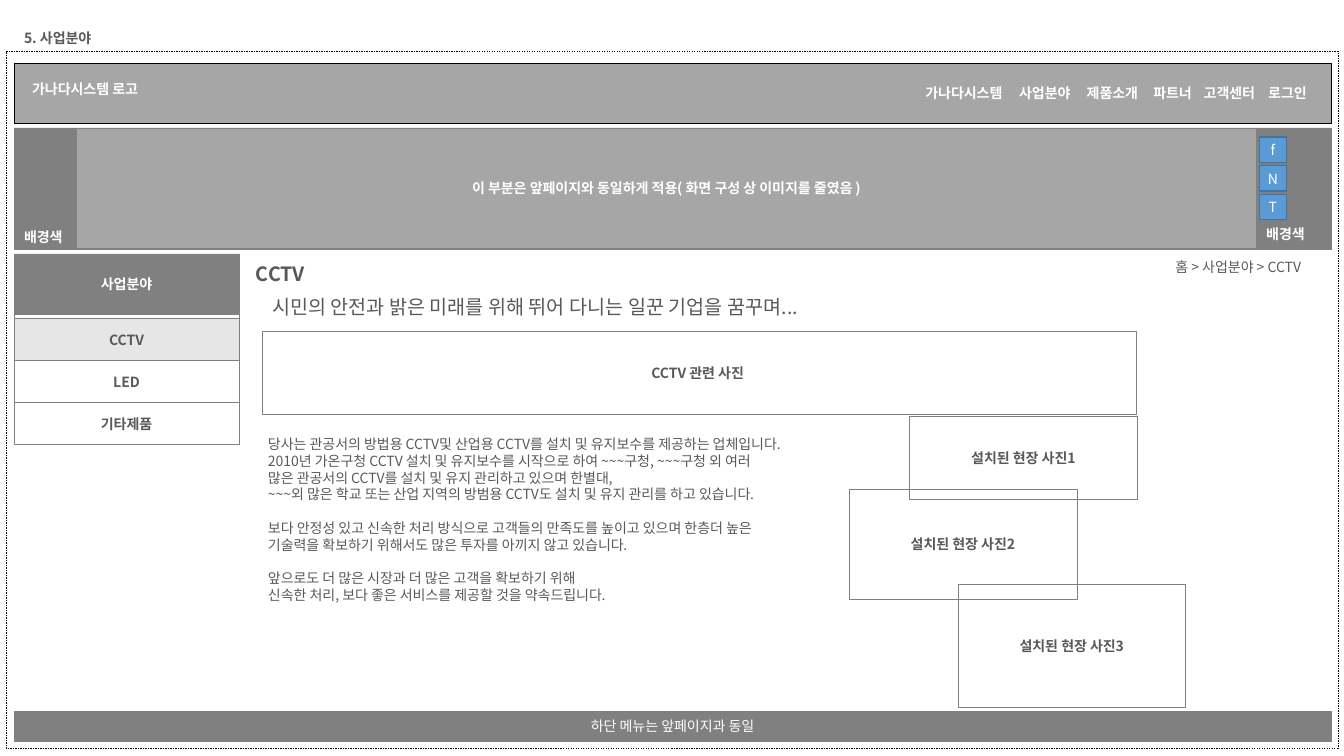
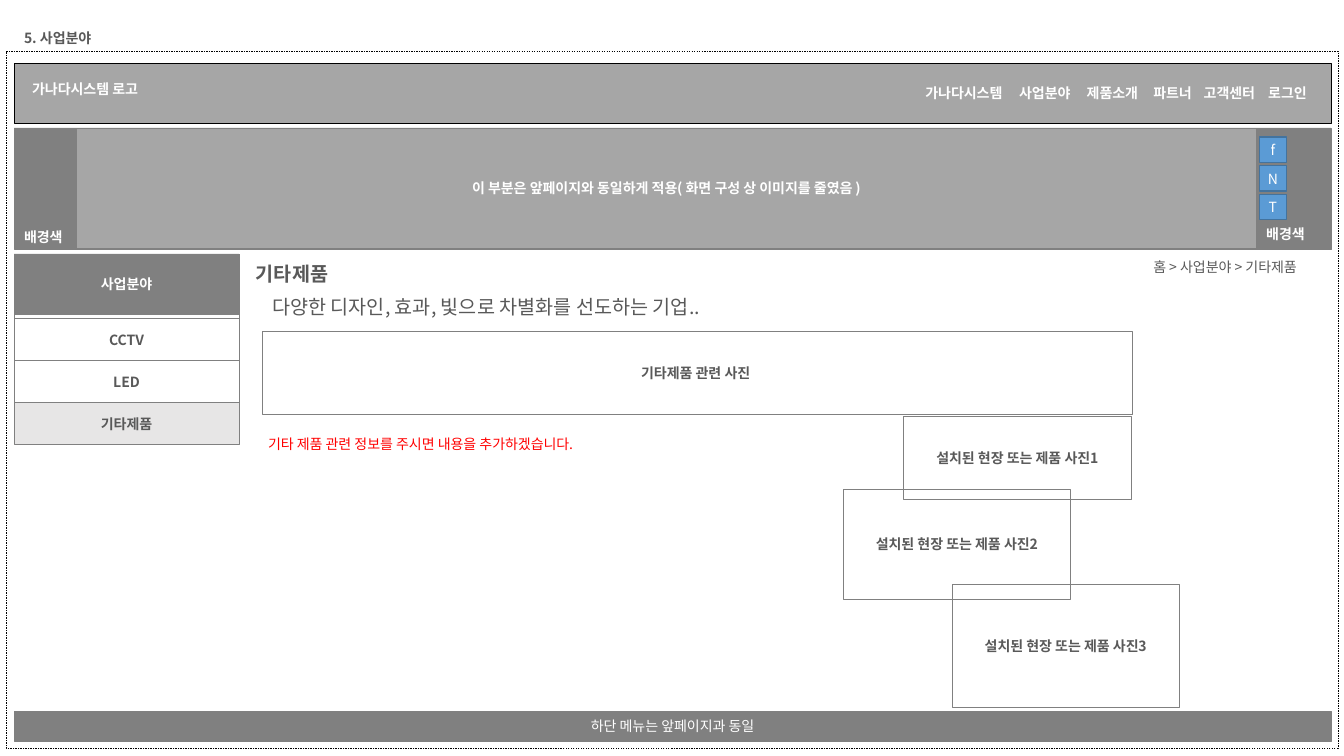
from lxml.etree import SubElement
from pptx import Presentation
from pptx.dml.color import RGBColor
from pptx.enum.dml import MSO_LINE
from pptx.enum.shapes import MSO_SHAPE
from pptx.enum.text import MSO_ANCHOR, MSO_AUTO_SIZE, PP_ALIGN
from pptx.oxml.ns import qn
from pptx.util import Inches, Pt

FONT = "Noto Sans CJK KR"
WHITE, BLACK, TEXT, RED = "FFFFFF", "000000", "595959", "FF0000"
DARK, MID, LIGHT = "808080", "A6A6A6", "E7E6E6"
BLUE, BLUE_EDGE = "5B9BD5", "43739E"
LEFT, WIDTH = 0.14, 13.06
LINE_PT = 12
NAV = [("가나다시스템", 9.08), ("사업분야", 10.01), ("제품소개", 10.68),
       ("파트너", 11.34), ("고객센터", 11.84), ("로그인", 12.48)]
MENU = ["CCTV", "LED", "기타제품"]
MENU_TOP, MENU_BOTTOM = 3.16, 4.41
PHOTOS = [(0.6, 4.13, 0.82), (0, 4.85, 1.09), (1.08, 5.8, 1.22)]

PAGES = [
    dict(
        name="CCTV", name_w=0.7, crumb_w=1.64,
        slogan="시민의 안전과 밝은 미래를 위해 뛰어 다니는 일꾼 기업을 꿈꾸며...",
        slogan_w=6.05, banner_w=8.67, photo="설치된 현장 사진", photo_x=8.42,
        body_w=6.46, body_color=TEXT,
        body=[
            "당사는 관공서의 방법용 CCTV및 산업용 CCTV를 설치 및 유지보수를 제공하는 업체입니다.\n"
            "2010년 가온구청 CCTV 설치 및 유지보수를 시작으로 하여 ~~~구청, ~~~구청 외 여러 \n"
            "많은 관공서의 CCTV를 설치 및 유지 관리하고 있으며 한별대,\n"
            "~~~외 많은 학교 또는 산업 지역의 방범용 CCTV도 설치 및 유지 관리를 하고 있습니다.",
            "보다 안정성 있고 신속한 처리 방식으로 고객들의 만족도를 높이고 있으며 한층더 높은\n"
            "기술력을 확보하기 위해서도 많은 투자를 아끼지 않고 있습니다.",
            "앞으로도 더 많은 시장과 더 많은 고객을 확보하기 위해\n"
            "신속한 처리, 보다 좋은 서비스를 제공할 것을 약속드립니다.",
        ],
    ),
    dict(
        name="기타제품", name_w=0.99, crumb_w=1.86,
        slogan="다양한 디자인, 효과, 빛으로 차별화를 선도하는 기업..",
        slogan_w=4.91, banner_w=8.63, photo="설치된 현장 또는 제품 사진", photo_x=8.36,
        body_w=3.95, body_color=RED,
        body=["기타 제품 관련 정보를 주시면 내용을 추가하겠습니다."],
    ),
]


def rgb(value):
    """Turn a hex string into a colour."""
    return RGBColor.from_string(value)


def write(p, text, color, size=10, bold=False):
    """Fill a paragraph with text in the shared font."""
    p.text = text
    for r in p.runs:
        for key, value in dict(size=Pt(size), bold=bold, name=FONT).items():
            setattr(r.font, key, value)
        r.font.color.rgb = rgb(color)
        SubElement(r.font._element, qn("a:ea"), typeface=FONT)


def add_box(s, x, y, w, h, text="", color=TEXT, fill=None, line=DARK,
            weight=0.25, bold=True, dash=None):
    """Add a rectangle with an optional centred label."""
    sp = s.shapes.add_shape(MSO_SHAPE.RECTANGLE, Inches(x), Inches(y), Inches(w), Inches(h))
    sp.shadow.inherit = False
    if fill:
        sp.fill.solid()
        sp.fill.fore_color.rgb = rgb(fill)
    else:
        sp.fill.background()
    sp.line.color.rgb = rgb(line)
    sp.line.width = Pt(weight)
    if dash:
        sp.line.dash_style = dash
    if text:
        tf = sp.text_frame
        frame = dict(vertical_anchor=MSO_ANCHOR.MIDDLE, word_wrap=True,
                     margin_left=Inches(0.04), margin_right=Inches(0.04),
                     margin_top=Inches(0.02), margin_bottom=Inches(0.02))
        for key, value in frame.items():
            setattr(tf, key, value)
        p = tf.paragraphs[0]
        p.alignment = PP_ALIGN.CENTER
        write(p, text, color, bold=bold)


def add_label(s, x, y, w, text, color=TEXT, size=10, bold=True):
    """Add a single line of text that does not wrap."""
    h = 0.27 if size == 10 else 0.34
    tf = s.shapes.add_textbox(Inches(x), Inches(y), Inches(w), Inches(h)).text_frame
    for key, value in dict(word_wrap=False, auto_size=MSO_AUTO_SIZE.SHAPE_TO_FIT_TEXT).items():
        setattr(tf, key, value)
    write(tf.paragraphs[0], text, color, size, bold)


def add_body(s, x, y, w, paragraphs, color):
    """Add body text with one line of space between paragraphs."""
    lines = sum(text.count("\n") + 2 for text in paragraphs) - 1
    h = 0.1 + lines * LINE_PT / 72
    tf = s.shapes.add_textbox(Inches(x), Inches(y), Inches(w), Inches(h)).text_frame
    tf.word_wrap = True
    for i, text in enumerate(paragraphs):
        p = tf.add_paragraph() if i else tf.paragraphs[0]
        if i:
            p.space_before = Pt(LINE_PT)
        write(p, text, color)


def label_width(text):
    """Give the width of a Korean label from its length."""
    return 0.2 + 0.14 * len(text)


def add_frame(s):
    """Draw the header, page border, footer and top band of every page."""
    add_box(s, LEFT, 0.63, WIDTH, 0.59, fill=MID, line=BLACK)
    add_label(s, 0.22, 0.75, 1.42, "가나다시스템 로고", WHITE)
    for text, x in NAV:
        add_label(s, x, 0.79, label_width(text), text, WHITE)
    add_box(s, 0.06, 0.51, 13.21, 6.91, line=BLACK, dash=MSO_LINE.DASH)
    add_box(s, LEFT, 7.06, WIDTH, 0.29, "하단 메뉴는 앞페이지과 동일", WHITE, DARK, bold=False)
    add_label(s, LEFT, 0.24, 0.93, "5. 사업분야")
    add_box(s, LEFT, 1.27, WIDTH, 1.2, fill=DARK)
    add_box(s, 0.76, 1.27, 11.7, 1.19,
            "이 부분은 앞페이지와 동일하게 적용( 화면 구성 상 이미지를 줄였음 )", WHITE, MID)
    for x, y in [(LEFT, 2.22), (12.46, 2.19)]:
        add_label(s, x, y, label_width("배경색"), "배경색", WHITE)
    for i, letter in enumerate("fNT"):
        add_box(s, 12.49, 1.36 + 0.57 * i / 2, 0.27, 0.25, letter, WHITE, BLUE, BLUE_EDGE, 1, False)


def add_menu(s, current):
    """Draw the side menu with the current entry shaded."""
    add_box(s, LEFT, 2.52, 2.23, 1.47)
    add_box(s, LEFT, 2.52, 2.23, 0.6, "사업분야", WHITE, DARK)
    h = (MENU_BOTTOM - MENU_TOP) / len(MENU)
    for i, name in enumerate(MENU):
        add_box(s, LEFT, MENU_TOP + h * i, 2.23, h, name,
                fill=LIGHT if name == current else None)


def add_content(s, page):
    """Draw the heading, banner, photo boxes and text of one page."""
    name, crumb_w = page["name"], page["crumb_w"]
    add_label(s, 2.44, 2.55, page["name_w"], name, size=14)
    add_label(s, LEFT + WIDTH - crumb_w, 2.52, crumb_w, f"홈 > 사업분야 > {name}", bold=False)
    add_box(s, 2.6, 3.29, page["banner_w"], 0.82, f"{name} 관련 사진 ")
    for i, (dx, y, h) in enumerate(PHOTOS, 1):
        add_box(s, page["photo_x"] + dx, y, 2.26, h, f"{page['photo']}{i}")
    add_label(s, 2.6, 2.88, page["slogan_w"], page["slogan"], size=14, bold=False)
    add_body(s, 2.56, 4.27, page["body_w"], page["body"], page["body_color"])


def main():
    """Build the pages and save the file."""
    prs = Presentation()
    prs.slide_width, prs.slide_height = Inches(13.33), Inches(7.5)
    for page in PAGES:
        s = prs.slides.add_slide(prs.slide_layouts[6])
        add_frame(s)
        add_menu(s, page["name"])
        add_content(s, page)
    prs.save("out.pptx")


if __name__ == "__main__":
    main()
